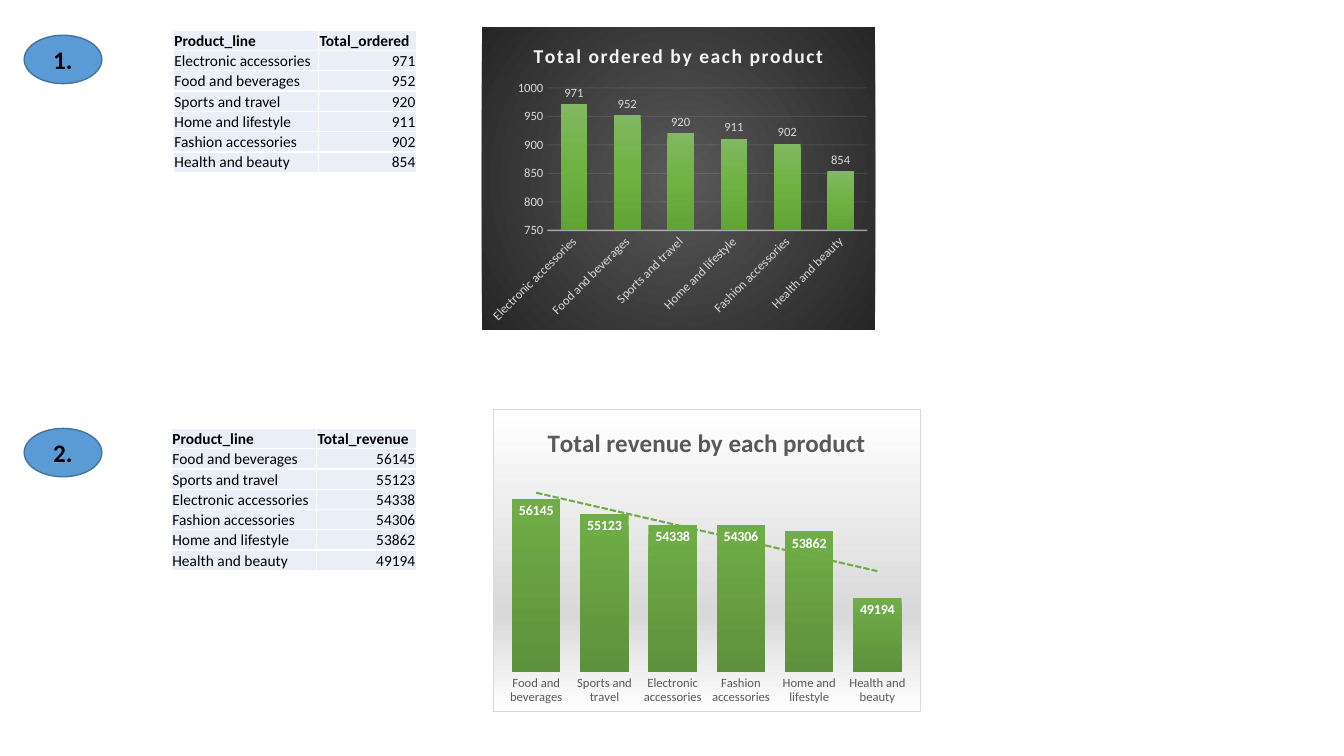
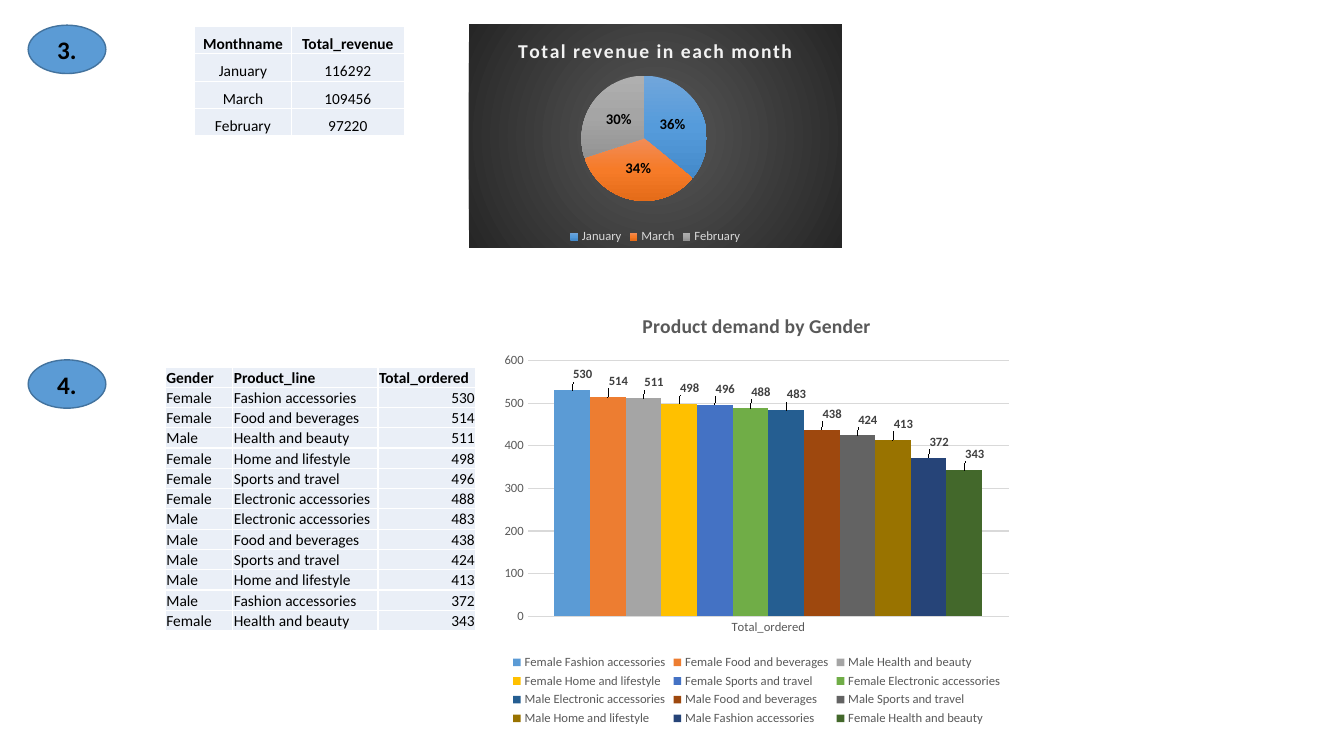
from lxml.etree import fromstring
from pptx import Presentation
from pptx.chart.data import CategoryChartData as ChartData
from pptx.dml.color import RGBColor as RGB
from pptx.enum.chart import XL_CHART_TYPE as Kind
from pptx.enum.chart import XL_LABEL_POSITION as Pos
from pptx.enum.chart import XL_LEGEND_POSITION as LegendPos
from pptx.enum.chart import XL_TICK_MARK as Tick
from pptx.enum.shapes import MSO_SHAPE as Shape
from pptx.enum.text import MSO_ANCHOR as Anchor
from pptx.enum.text import PP_ALIGN as Align
from pptx.oxml.ns import qn
from pptx.util import Pt

PX = 9144
FONT = "Calibri"
BLACK = RGB(0x00, 0x00, 0x00)
WHITE = RGB(0xFF, 0xFF, 0xFF)
CELL = RGB(0xEA, 0xEF, 0xF7)
BLUE = RGB(0x5B, 0x9B, 0xD5)
BLUE_EDGE = RGB(0x43, 0x73, 0x9E)
GREEN = RGB(0x70, 0xAD, 0x47)
PALE = RGB(0xF2, 0xF2, 0xF2)
SILVER = RGB(0xD9, 0xD9, 0xD9)
GREY = RGB(0x59, 0x59, 0x59)
INK = RGB(0x40, 0x40, 0x40)
CHARCOAL = RGB(0x26, 0x26, 0x26)
SERIES = [BLUE, RGB(0xED, 0x7D, 0x31), RGB(0xA5, 0xA5, 0xA5), RGB(0xFF, 0xC0, 0x00),
          RGB(0x44, 0x72, 0xC4), GREEN, RGB(0x25, 0x5E, 0x91), RGB(0x9E, 0x48, 0x0E),
          RGB(0x63, 0x63, 0x63), RGB(0x99, 0x73, 0x00), RGB(0x26, 0x44, 0x78),
          RGB(0x43, 0x68, 0x2B)]
DARK_BACK = [(0, GREY), (100, CHARCOAL)]
LIGHT_BACK = [(0, WHITE), (68, SILVER), (100, WHITE)]
SOFT_GREEN = [(0, RGB(0x81, 0xB8, 0x61)), (50, RGB(0x6F, 0xB2, 0x42)), (100, RGB(0x62, 0xA3, 0x36))]
DEEP_GREEN = [(0, GREEN), (100, RGB(0x5E, 0x91, 0x3C))]
SLICES = [
    [(0, RGB(0x71, 0xA6, 0xDB)), (50, RGB(0x55, 0x9B, 0xDB)), (100, RGB(0x44, 0x8A, 0xCA))],
    [(0, RGB(0xF1, 0x8C, 0x57)), (50, RGB(0xF6, 0x7B, 0x28)), (100, RGB(0xE5, 0x6C, 0x19))],
    [(0, RGB(0xAF, 0xAF, 0xAF)), (50, RGB(0xA5, 0xA5, 0xA5)), (100, RGB(0x93, 0x93, 0x93))],
]

ORDERED = [("Product_line", "Total_ordered"), ("Electronic accessories", 971),
           ("Food and beverages", 952), ("Sports and travel", 920),
           ("Home and lifestyle", 911), ("Fashion accessories", 902),
           ("Health and beauty", 854)]
REVENUE = [("Product_line", "Total_revenue"), ("Food and beverages", 56145),
           ("Sports and travel", 55123), ("Electronic accessories", 54338),
           ("Fashion accessories", 54306), ("Home and lifestyle", 53862),
           ("Health and beauty", 49194)]
MONTHS = [("Monthname", "Total_revenue"), ("January", 116292), ("March", 109456),
          ("February", 97220)]
DEMAND = [("Gender", "Product_line", "Total_ordered"),
          ("Female", "Fashion accessories", 530), ("Female", "Food and beverages", 514),
          ("Male", "Health and beauty", 511), ("Female", "Home and lifestyle", 498),
          ("Female", "Sports and travel", 496), ("Female", "Electronic accessories", 488),
          ("Male", "Electronic accessories", 483), ("Male", "Food and beverages", 438),
          ("Male", "Sports and travel", 424), ("Male", "Home and lifestyle", 413),
          ("Male", "Fashion accessories", 372), ("Female", "Health and beauty", 343)]


def xml(text):
    return fromstring(
        '<r xmlns:a="http://schemas.openxmlformats.org/drawingml/2006/main" '
        f'xmlns:c="http://schemas.openxmlformats.org/drawingml/2006/chart">{text}</r>')[0]


def put(obj, **values):
    for name, value in values.items():
        setattr(obj, name, value)


def style(font, size, color, bold=False):
    put(font, name=FONT, size=Pt(size), bold=bold)
    font.color.rgb = color


def gradient(stops, radial=False):
    marks = "".join(f'<a:gs pos="{at * 1000}"><a:srgbClr val="{c}"/></a:gs>' for at, c in stops)
    way = ('<a:path path="circle"><a:fillToRect l="50000" t="50000" r="50000" b="50000"/></a:path>'
           if radial else '<a:lin ang="5400000" scaled="0"/>')
    return f"<a:gradFill><a:gsLst>{marks}</a:gsLst>{way}</a:gradFill>"


def stroke(color, points, dash="solid", tag="ln"):
    return (f'<a:{tag} w="{int(points * 12700)}"><a:solidFill><a:srgbClr val="{color}"/>'
            f'</a:solidFill><a:prstDash val="{dash}"/></a:{tag}>')


def layout(x, y, w=None, h=None):
    edges = ""
    if w:
        edges = '<c:layoutTarget val="inner"/><c:xMode val="edge"/><c:yMode val="edge"/>'
    sizes = f'<c:w val="{w}"/><c:h val="{h}"/>' if w else ""
    return xml(f'<c:layout><c:manualLayout>{edges}<c:x val="{x}"/><c:y val="{y}"/>'
               f'{sizes}</c:manualLayout></c:layout>')


def shade(fmt, stops):
    fmt._element.get_or_add_spPr().insert(0, xml(gradient(stops)))


def line(fmt, color, points, opacity=100):
    fmt.line.width = Pt(points)
    fmt.line.color.rgb = color
    clr = fmt._element.get_or_add_spPr().find(".//" + qn("a:srgbClr"))
    clr.append(xml(f'<a:alpha val="{opacity * 1000}"/>'))


class Deck:
    """Holds the shared style and the current slide."""

    def __init__(self):
        self.prs = Presentation()
        put(self.prs, slide_width=1333 * PX, slide_height=750 * PX)

    def slide(self):
        self.s = self.prs.slides.add_slide(self.prs.slide_layouts[6])

    def badge(self, x, y, text):
        sp = self.s.shapes.add_shape(Shape.OVAL, x * PX, y * PX, 77 * PX, 48 * PX)
        sp.shadow.inherit = False
        sp.fill.solid()
        sp.fill.fore_color.rgb = BLUE
        sp.line.color.rgb = BLUE_EDGE
        sp.line.width = Pt(1)
        sp.text_frame.vertical_anchor = Anchor.MIDDLE
        p = sp.text_frame.paragraphs[0]
        p.alignment = Align.CENTER
        r = p.add_run()
        r.text = text
        style(r.font, 18, BLACK, True)

    def table(self, x, y, h, widths, rows, centred=False):
        tbl = self.s.shapes.add_table(len(rows), len(widths), x * PX, y * PX,
                                      sum(widths) * PX, h * PX).table
        put(tbl, first_row=False, horz_banding=False)
        for col, w in zip(tbl.columns, widths):
            col.width = w * PX
        for i, values in enumerate(rows):
            tbl.rows[i].height = h * PX // len(rows)
            for j, value in enumerate(values):
                side = Align.RIGHT if isinstance(value, int) else Align.LEFT
                self.cell(tbl.cell(i, j), value, Align.CENTER if centred else side, i == 0)

    def cell(self, cell, value, align, bold):
        put(cell, margin_left=PX, margin_right=PX, margin_top=PX, margin_bottom=0,
            vertical_anchor=Anchor.BOTTOM)
        cell.fill.solid()
        cell.fill.fore_color.rgb = CELL
        for i, edge in enumerate(("lnL", "lnR", "lnT", "lnB")):
            cell._tc.get_or_add_tcPr().insert(i, xml(stroke(WHITE, 1, tag=edge)))
        p = cell.text_frame.paragraphs[0]
        p.alignment = align
        r = p.add_run()
        r.text = str(value)
        style(r.font, 11, BLACK, bold)

    def chart(self, kind, box, cats, series, title, size, color, back="<a:noFill/>",
              border="<a:ln><a:noFill/></a:ln>", spacing=0, legend=None):
        data = ChartData()
        data.categories = cats
        for name, values in series:
            data.add_series(name, values)
        chart = self.s.shapes.add_chart(kind, *(v * PX for v in box), data).chart
        style(chart.font, 10, BLACK)
        chart._chartSpace.find(qn("c:chart")).addnext(xml(f"<c:spPr>{back}{border}</c:spPr>"))
        chart.has_title = True
        r = chart.chart_title.text_frame.paragraphs[0].add_run()
        r.text = title
        style(r.font, size, color, True)
        r._r.get_or_add_rPr().set("spc", str(spacing))
        chart.has_legend = legend is not None
        if legend is not None:
            put(chart.legend, position=LegendPos.BOTTOM, include_in_layout=False)
            style(chart.legend.font, 9, legend)
        chart.plots[0].vary_by_categories = kind == Kind.PIE
        return chart

    def columns(self, chart, gap, overlap, color, low, high, step, grid=None, rotation=0):
        put(chart.plots[0], gap_width=gap, overlap=overlap)
        for axis in (chart.category_axis, chart.value_axis):
            put(axis, major_tick_mark=Tick.NONE, minor_tick_mark=Tick.NONE)
            style(axis.tick_labels.font, 9, color)
            axis.format.line.fill.background()
        chart.category_axis._element.get_or_add_txPr().bodyPr.set("rot", str(rotation * 60000))
        axis = chart.value_axis
        put(axis, minimum_scale=low, maximum_scale=high, major_unit=step,
            visible=grid is not None, has_major_gridlines=grid is not None)
        if grid:
            line(axis.major_gridlines.format, *grid)

    def labels(self, owner, size, color, bold, position, **values):
        lab = owner.data_labels
        put(lab, position=position, **values)
        style(lab.font, size, color, bold)

    def trend(self, ser):
        ser._element.find(qn("c:cat")).addprevious(xml(
            f'<c:trendline><c:spPr>{stroke(GREEN, 1.5, "sysDash")}</c:spPr>'
            '<c:trendlineType val="linear"/><c:dispRSqr val="0"/><c:dispEq val="0"/>'
            '</c:trendline>'))

    def shifted_label(self, point, x, y):
        lab = point.data_label
        style(lab.font, 9, INK, True)
        lab.position = Pos.OUTSIDE_END
        lab._get_or_add_dLbl()[0].addnext(layout(x, y))


def product_slide(deck):
    deck.slide()
    deck.badge(24, 35, "1.")
    deck.table(172, 30, 141, (144, 97), ORDERED)
    names, values = zip(*ORDERED[1:])
    chart = deck.chart(Kind.COLUMN_CLUSTERED, (478, 27, 390, 300), names,
                       [("Total_ordered", values)], "Total ordered by each product", 14, PALE,
                       gradient(DARK_BACK, True), spacing=100)
    deck.columns(chart, 100, -24, SILVER, 750, 1000, 50, (PALE, 0.75, 10), -45)
    line(chart.category_axis.format, PALE, 1, 54)
    ser = chart.series[0]
    shade(ser.format, SOFT_GREEN)
    deck.labels(ser, 9, SILVER, False, Pos.OUTSIDE_END, show_value=True)

    deck.badge(24, 425, "2.")
    deck.table(170, 425, 141, (144, 99), REVENUE)
    names, values = zip(*REVENUE[1:])
    chart = deck.chart(Kind.COLUMN_CLUSTERED, (489, 406, 424, 300), names,
                       [("Total_revenue", values)], "Total revenue by each product", 18, GREY,
                       gradient(LIGHT_BACK), stroke(SILVER, 0.75))
    deck.columns(chart, 41, 0, GREY, 44000, 58000, 2000)
    ser = chart.series[0]
    shade(ser.format, DEEP_GREEN)
    deck.labels(ser, 10, WHITE, True, Pos.INSIDE_END, show_value=True)
    deck.trend(ser)


def month_and_gender_slide(deck):
    deck.slide()
    deck.badge(28, 25, "3.")
    deck.table(193, 26, 109, (96, 112), MONTHS, centred=True)
    names, values = zip(*MONTHS[1:])
    shares = [round(100 * v / sum(values)) for v in values]
    chart = deck.chart(Kind.PIE, (465, 24, 370, 222), names, [("Total_revenue", shares)],
                       "Total revenue in each month", 14, PALE, gradient(DARK_BACK, True),
                       spacing=100, legend=SILVER)
    area = chart._chartSpace.find(".//" + qn("c:plotArea"))
    for old in area.findall(qn("c:layout")):
        area.remove(old)
    area.insert(0, layout(0.01, 0.23, 0.92, 0.56))
    ser = chart.series[0]
    for i, stops in enumerate(SLICES):
        shade(ser.points[i].format, stops)
    deck.labels(ser, 10.5, BLACK, True, Pos.CENTER, show_value=False, show_percentage=True,
                number_format="0%", number_format_is_linked=False)

    deck.badge(28, 357, "4.")
    deck.table(164, 364, 262, (67, 144, 97), DEMAND)
    series = [(f"{gender} {product}", [total]) for gender, product, total in DEMAND[1:]]
    chart = deck.chart(Kind.COLUMN_CLUSTERED, (490, 292, 521, 432), [DEMAND[0][-1]], series,
                       "Product demand by Gender", 14, GREY, legend=GREY)
    deck.columns(chart, 150, 0, GREY, 0, 600, 100, (SILVER, 0.75))
    for ser, color in zip(chart.series, SERIES):
        ser.format.fill.solid()
        ser.format.fill.fore_color.rgb = color
        deck.shifted_label(ser.points[0], 0.02, -0.01)


def main():
    deck = Deck()
    product_slide(deck)
    month_and_gender_slide(deck)
    deck.prs.save("out.pptx")


if __name__ == "__main__":
    main()
